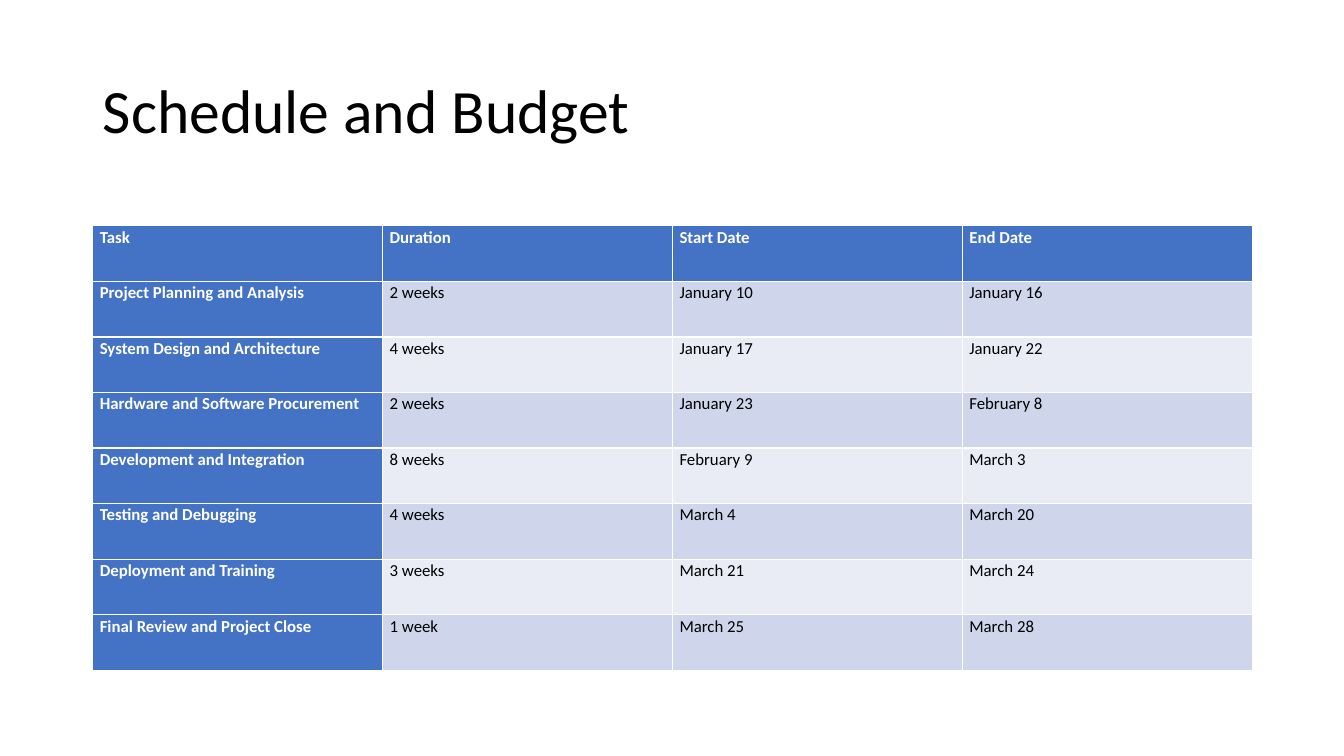
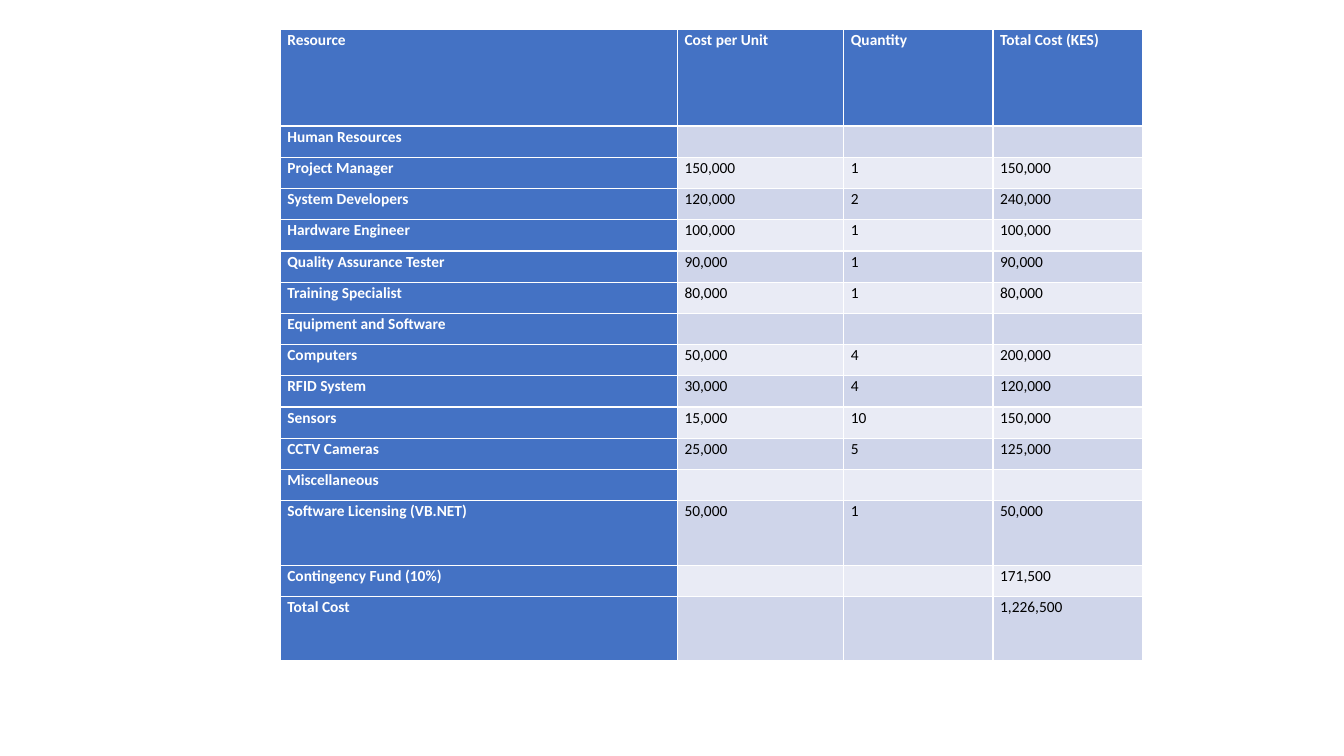
import pptx
import pptx.dml.color
import pptx.enum.text
import pptx.util

Inches = pptx.util.Inches
Pt = pptx.util.Pt
ALIGN = pptx.enum.text.PP_ALIGN
ANCHOR = pptx.enum.text.MSO_ANCHOR

# Shared look
FONT = "Calibri"
COLORS = {
    "head": "4472C4",
    "band_dark": "CFD5EA",
    "band_light": "E9EBF5",
    "head_text": "FFFFFF",
    "text": "000000",
}
TITLE_ONLY, BLANK = 5, 6

# Content
SCHEDULE = [
    ("Task", "Duration", "Start Date", "End Date"),
    ("Project Planning and Analysis", "2 weeks", "January 10", "January 16"),
    ("System Design and Architecture", "4 weeks", "January 17", "January 22"),
    ("Hardware and Software Procurement", "2 weeks", "January 23", "February 8"),
    ("Development and Integration", "8 weeks", "February 9", "March 3"),
    ("Testing and Debugging", "4 weeks", "March 4", "March 20"),
    ("Deployment and Training", "3 weeks", "March 21", "March 24"),
    ("Final Review and Project Close", "1 week", "March 25", "March 28"),
]
BUDGET = [
    ("Resource", "Cost per Unit", "Quantity", "Total Cost (KES)"),
    ("Human Resources", "", "", ""),
    ("Project Manager", "150,000", "1", "150,000"),
    ("System Developers", "120,000", "2", "240,000"),
    ("Hardware Engineer", "100,000", "1", "100,000"),
    ("Quality Assurance Tester", "90,000", "1", "90,000"),
    ("Training Specialist", "80,000", "1", "80,000"),
    ("Equipment and Software", "", "", ""),
    ("Computers", "50,000", "4", "200,000"),
    ("RFID System", "30,000", "4", "120,000"),
    ("Sensors", "15,000", "10", "150,000"),
    ("CCTV Cameras", "25,000", "5", "125,000"),
    ("Miscellaneous", "", "", ""),
    ("Software Licensing (VB.NET)", "50,000", "1", "50,000"),
    ("Contingency Fund (10%)", "", "", "171,500"),
    ("Total Cost", "", "", "1,226,500"),
]
BUDGET_TALL_ROWS = {0: 0.96, 13: 0.64, 15: 0.64}


def rgb(name):
    return pptx.dml.color.RGBColor.from_string(COLORS[name])


def style_font(p, size, color, bold=False):
    p.font.name = FONT
    p.font.size = Pt(size)
    p.font.bold = bold
    p.font.color.rgb = rgb(color)


def set_title(slide, text):
    sp = slide.shapes.title
    sp.left, sp.top = Inches(0.92), Inches(0.4)
    sp.width, sp.height = Inches(11.5), Inches(1.45)
    tf = sp.text_frame
    tf.text = text
    tf.vertical_anchor = ANCHOR.MIDDLE
    p = tf.paragraphs[0]
    p.alignment = ALIGN.LEFT
    p.line_spacing = 0.9
    style_font(p, 44, "text")


def fill_cell(cell, text, size, fill, is_head):
    cell.fill.solid()
    cell.fill.fore_color.rgb = rgb(fill)
    cell.margin_left = cell.margin_right = Inches(0.07)
    cell.margin_top = cell.margin_bottom = 0
    p = cell.text_frame.paragraphs[0]
    p.alignment = ALIGN.JUSTIFY
    p.line_spacing = 1.07
    p.space_after = Pt(8)
    style_font(p, size, "head_text" if is_head else "text", is_head)
    if text:
        p.add_run().text = text
    else:
        # An empty cell takes its line height from the paragraph end mark
        p._p.get_or_add_endParaRPr().set("sz", str(size * 100))


def add_grid(slide, rows, left, top, widths, heights, size):
    """Table with a head row, a head column and alternating bands."""
    frame = slide.shapes.add_table(
        len(rows), len(widths), Inches(left), Inches(top),
        Inches(sum(widths)), Inches(sum(heights)))
    table = frame.table
    table.first_col = True
    for column, width in zip(table.columns, widths):
        column.width = Inches(width)
    for row, height in zip(table.rows, heights):
        row.height = Inches(height)
    for i, values in enumerate(rows):
        band = "band_dark" if i % 2 else "band_light"
        for j, text in enumerate(values):
            is_head = i == 0 or j == 0
            fill_cell(table.cell(i, j), text, size,
                      "head" if is_head else band, is_head)


def main():
    prs = pptx.Presentation()
    prs.slide_width, prs.slide_height = Inches(13.33), Inches(7.5)

    # Schedule
    slide = prs.slides.add_slide(prs.slide_layouts[TITLE_ONLY])
    set_title(slide, "Schedule and Budget")
    add_grid(slide, SCHEDULE, 0.92, 2.24, [11.5 / 4] * 4,
             [4.41 / len(SCHEDULE)] * len(SCHEDULE), 12)

    # Budget
    slide = prs.slides.add_slide(prs.slide_layouts[BLANK])
    heights = [BUDGET_TALL_ROWS.get(i, 0.31) for i in range(len(BUDGET))]
    add_grid(slide, BUDGET, 2.78, 0.29, [3.94, 1.65, 1.48, 1.48], heights, 11)

    prs.save("out.pptx")


if __name__ == "__main__":
    main()
